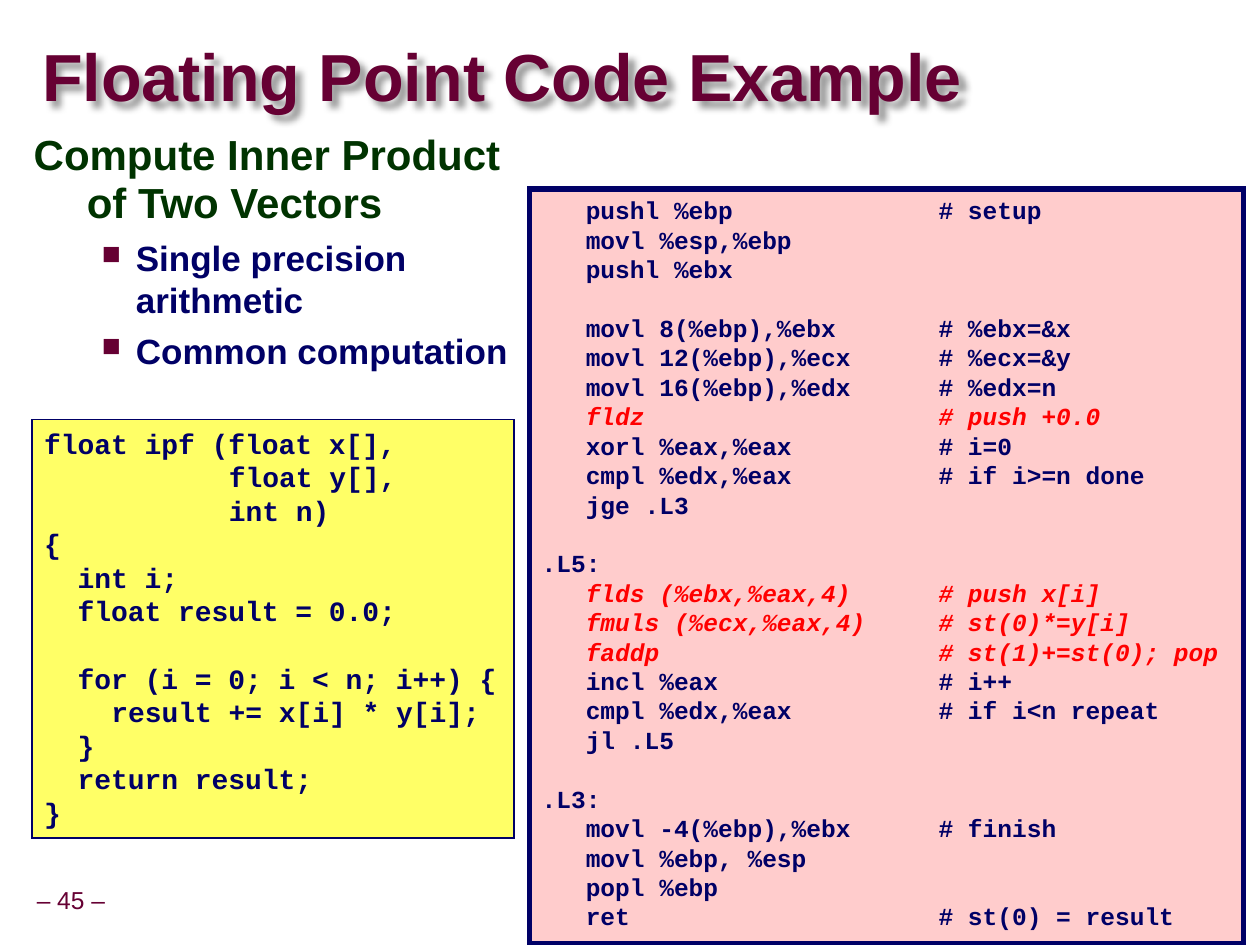
"""Build the floating point code example slide."""
from dataclasses import dataclass
from typing import Optional

import lxml.etree
import pptx
import pptx.dml.color
import pptx.enum.shapes
import pptx.enum.text
import pptx.oxml
import pptx.oxml.ns
import pptx.util

Cm, Pt = pptx.util.Cm, pptx.util.Pt
RGBColor = pptx.dml.color.RGBColor
PP_ALIGN = pptx.enum.text.PP_ALIGN
ANCHOR = pptx.enum.text.MSO_ANCHOR
qn = pptx.oxml.ns.qn

MAROON = RGBColor(0x66, 0x00, 0x33)
GREEN = RGBColor(0x00, 0x33, 0x00)
NAVY = RGBColor(0x00, 0x00, 0x66)
RED = RGBColor(0xFF, 0x00, 0x00)
YELLOW = RGBColor(0xFF, 0xFF, 0x66)
PINK = RGBColor(0xFF, 0xCC, 0xCC)

SOURCE_SIZE, ASM_SIZE = 16, 14
CHAR_RATIO, LINE_RATIO = 0.6, 1.2
ASM_TABS = (3, 27)


@dataclass
class Line:
    text: str
    size: float
    color: RGBColor
    font: str = "Arial"
    bold: bool = True
    italic: bool = False
    align: PP_ALIGN = PP_ALIGN.LEFT
    spacing: float = 1.0
    before: float = 0
    left: int = 0
    hanging: int = 0
    bullet: bool = False
    tabs: tuple = ()


@dataclass
class Box:
    left: float
    top: float
    width: float
    height: float
    lines: list
    inset: tuple = (0.25, 0.13)
    anchor: ANCHOR = ANCHOR.TOP
    wrap: bool = True
    fill: Optional[RGBColor] = None
    border: float = 0


def set_all(obj, values: dict) -> None:
    for name, value in values.items():
        setattr(obj, name, value)


def add_xml(parent, tag: str, **attrs):
    return lxml.etree.SubElement(parent, qn(tag), {k: str(v) for k, v in attrs.items()})


def write_line(p, line: Line) -> None:
    set_all(p, {"alignment": line.align, "line_spacing": line.spacing,
                "space_before": Pt(line.before)})
    pPr = p._p.get_or_add_pPr()
    if line.left:
        pPr.set("marL", str(int(line.left)))
    if line.hanging:
        pPr.set("indent", str(-int(line.hanging)))
    if line.bullet:
        add_xml(add_xml(pPr, "a:buClr"), "a:srgbClr", val=MAROON)
        add_xml(pPr, "a:buSzPct", val=75000)
        add_xml(pPr, "a:buFont", typeface="Wingdings", pitchFamily=2, charset=2)
        add_xml(pPr, "a:buChar", char="n")
    if line.tabs:
        stops = add_xml(pPr, "a:tabLst")
        for column in line.tabs:
            add_xml(stops, "a:tab", pos=int(Pt(column * line.size * CHAR_RATIO)), algn="l")
    r = p.add_run()
    r.text = line.text
    set_all(r.font, {"name": line.font, "size": Pt(line.size),
                     "bold": line.bold, "italic": line.italic})
    r.font.color.rgb = line.color


def add_box(s, box: Box):
    place = [Cm(v) for v in (box.left, box.top, box.width, box.height)]
    if box.fill is None:
        sp = s.shapes.add_textbox(*place)
    else:
        sp = s.shapes.add_shape(pptx.enum.shapes.MSO_SHAPE.RECTANGLE, *place)
        sp.shadow.inherit = False
        sp.fill.solid()
        sp.fill.fore_color.rgb = box.fill
        sp.line.color.rgb = NAVY
        sp.line.width = Pt(box.border)
        add_xml(sp._element.spPr.find(qn("a:ln")), "a:miter", lim=800000)
    tf = sp.text_frame
    x, y = (Cm(v) for v in box.inset)
    set_all(tf, {"margin_left": x, "margin_right": x, "margin_top": y, "margin_bottom": y,
                 "vertical_anchor": box.anchor, "word_wrap": box.wrap})
    for i, line in enumerate(box.lines):
        write_line(tf.add_paragraph() if i else tf.paragraphs[0], line)
    return sp


def add_soft_shadow(sp) -> None:
    effects = add_xml(sp._element.spPr, "a:effectLst")
    shadow = add_xml(effects, "a:outerShdw", blurRad=Pt(4), dist=Pt(4), dir=2700000)
    add_xml(add_xml(shadow, "a:srgbClr", val="000000"), "a:alpha", val=40000)


def code_lines(code: str, size: float, tabs: tuple = ()) -> list:
    lines, gap = [], 0.0
    for row in code.strip("\n").split("\n"):
        if not row:
            gap = round(size * LINE_RATIO, 1)
            continue
        red = row.startswith("!")
        text = row.lstrip("! ")
        depth = len(row) - len(text) - red
        lines.append(Line(text, size, RED if red else NAVY, "Courier New", italic=red,
                          before=gap, left=Pt(depth * size * CHAR_RATIO), tabs=tabs))
        gap = 0.0
    return lines


SOURCE = """
float ipf (float x[],
           float y[],
           int n)
{
  int i;
  float result = 0.0;

  for (i = 0; i < n; i++) {
    result += x[i] * y[i];
  }
  return result;
}
"""

ASM = """
\tpushl %ebp\t# setup
\tmovl %esp,%ebp
\tpushl %ebx

\tmovl 8(%ebp),%ebx\t# %ebx=&x
\tmovl 12(%ebp),%ecx\t# %ecx=&y
\tmovl 16(%ebp),%edx\t# %edx=n
!\tfldz\t# push +0.0
\txorl %eax,%eax\t# i=0
\tcmpl %edx,%eax\t# if i>=n done
\tjge .L3

.L5:
!\tflds (%ebx,%eax,4)\t# push x[i]
!\tfmuls (%ecx,%eax,4)\t# st(0)*=y[i]
!\tfaddp\t# st(1)+=st(0); pop
\tincl %eax\t# i++
\tcmpl %edx,%eax\t# if i<n repeat
\tjl .L5

.L3:
\tmovl -4(%ebp),%ebx\t# finish
\tmovl %ebp, %esp
\tpopl %ebp
\tret\t# st(0) = result
"""

prs = pptx.Presentation()
set_all(prs, {"slide_width": Cm(25.4), "slide_height": Cm(19.05)})
s = prs.slides.add_slide(prs.slide_layouts[6])

points = [Line(text, 20, NAVY, before=5, left=Cm(2.06), hanging=Cm(0.69), bullet=True)
          for text in ("Single precision arithmetic", "Common computation")]
heading = Line("Compute Inner Product of Two Vectors", 24, GREEN, spacing=0.95,
               left=Cm(1.07), hanging=Cm(1.07))
title = Line("Floating Point Code Example", 38, MAROON, spacing=0.87)
number = Line("– 45 –", 14, MAROON, bold=False, align=PP_ALIGN.CENTER, spacing=0.9)

add_box(s, Box(0.59, 17.78, 1.68, 0.79, [number], (0.13, 0.13), ANCHOR.MIDDLE, False))
add_soft_shadow(add_box(s, Box(0.85, 0.86, 20.88, 1.55, [title], (0, 0), ANCHOR.MIDDLE)))
add_box(s, Box(0.43, 2.54, 10.8, 15.24, [heading, *points]))
add_box(s, Box(0.64, 8.46, 9.73, 8.43, code_lines(SOURCE, SOURCE_SIZE),
               fill=YELLOW, border=1))
add_box(s, Box(10.67, 3.81, 14.4, 15.21, code_lines(ASM, ASM_SIZE, ASM_TABS),
               fill=PINK, border=3))

prs.save("out.pptx")
